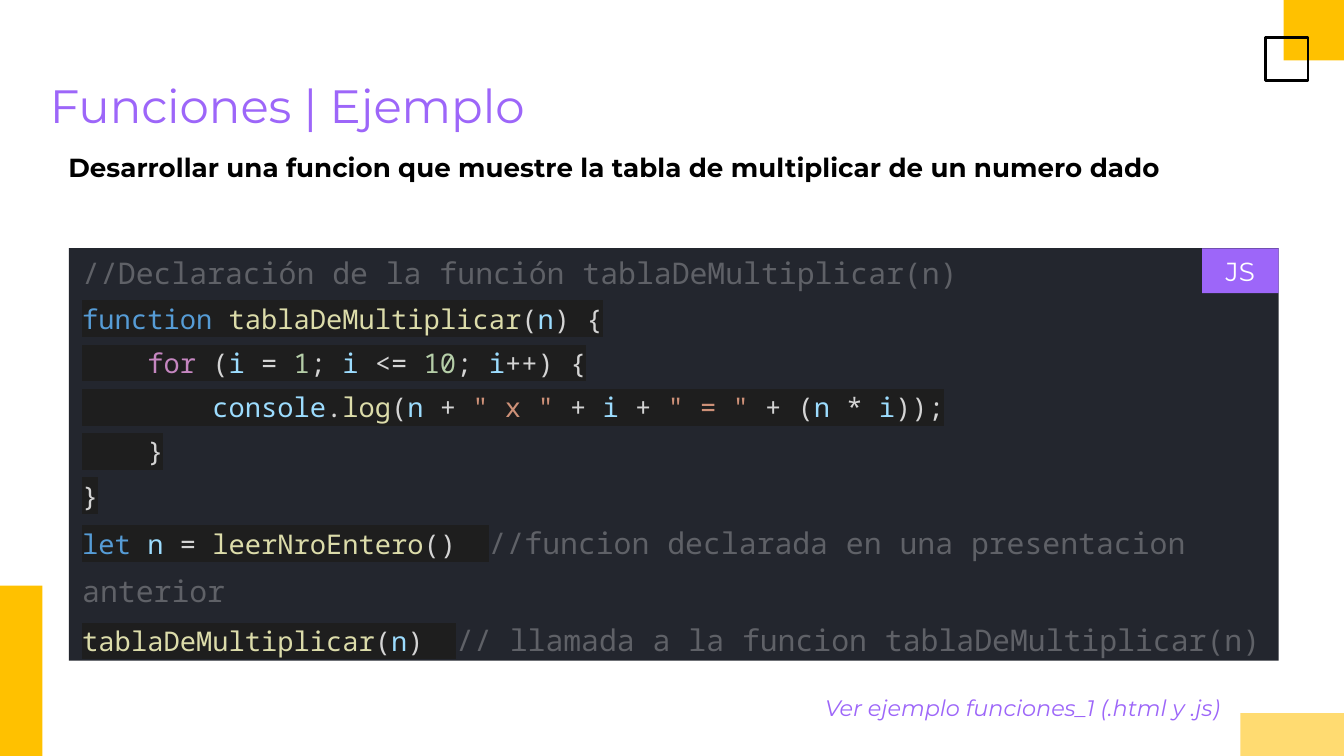
import pptx
import pptx.util
import pptx.dml.color
import pptx.enum.shapes
import pptx.enum.text
import lxml.etree
from pptx.oxml.ns import qn

Pt = pptx.util.Pt
ANCHOR = pptx.enum.text.MSO_ANCHOR
ALIGN = pptx.enum.text.PP_ALIGN

WIDTH, HEIGHT = 720, 405
SANS, MONO = "Montserrat", "Noto Sans Mono"
PURPLE, AMBER, BLACK, WHITE = "9D66F9", "FFC100", "000000", "FFFFFF"
CODE_FILL, HIGHLIGHT = "23262E", "1E1E1E"

# left, top, width, height, fill, outline
DECORATION = [
    (687.6, 0, 32.4, 32.4, AMBER, None),
    (0, 313.8, 22.8, 91.2, AMBER, None),
    (677.8, 20, 23, 23, None, BLACK),
    (664.5, 382, 55.5, 23, "FFDB71", None),
]

TITLE = "Funciones | Ejemplo"
TASK = "Desarrollar una funcion que muestre la tabla de multiplicar de un numero dado"
FOOTNOTE = "Ver ejemplo funciones_1 (.html y .js)"

TOKEN_COLORS = {
    "comment": "5F6167",
    "keyword": "569CD6",
    "control": "C586C0",
    "function": "DCDCAA",
    "variable": "9CDCFE",
    "number": "B5CEA8",
    "string": "CE9178",
    "plain": "D4D4D4",
}
CODE = [
    [("comment", "//Declaración de la función tablaDeMultiplicar(n)")],
    [("keyword", "function"), ("plain", " "), ("function", "tablaDeMultiplicar"),
     ("plain", "("), ("variable", "n"), ("plain", ") {")],
    [("plain", "    "), ("control", "for"), ("plain", " ("), ("variable", "i"),
     ("plain", " = "), ("number", "1"), ("plain", "; "), ("variable", "i"),
     ("plain", " <= "), ("number", "10"), ("plain", "; "), ("variable", "i"),
     ("plain", "++) {")],
    [("plain", "        "), ("variable", "console"), ("plain", "."),
     ("function", "log"), ("plain", "("), ("variable", "n"), ("plain", " + "),
     ("string", '" x "'), ("plain", " + "), ("variable", "i"), ("plain", " + "),
     ("string", '" = "'), ("plain", " + ("), ("variable", "n"), ("plain", " * "),
     ("variable", "i"), ("plain", "));")],
    [("plain", "    }")],
    [("plain", "}")],
    [("keyword", "let"), ("plain", " "), ("variable", "n"), ("plain", " = "),
     ("function", "leerNroEntero"), ("plain", "()  "),
     ("comment", "//funcion declarada en una presentacion anterior")],
    [("function", "tablaDeMultiplicar"), ("plain", "("), ("variable", "n"),
     ("plain", ")  "), ("comment", "// llamada a la funcion tablaDeMultiplicar(n)")],
]


def rgb(value):
    return pptx.dml.color.RGBColor.from_string(value)


def add_rectangle(slide, left, top, width, height, fill, outline=None):
    box = slide.shapes.add_shape(pptx.enum.shapes.MSO_SHAPE.RECTANGLE,
                                 Pt(left), Pt(top), Pt(width), Pt(height))
    box.shadow.inherit = False
    if fill:
        box.fill.solid()
        box.fill.fore_color.rgb = rgb(fill)
    else:
        box.fill.background()
    if outline:
        box.line.color.rgb = rgb(outline)
        box.line.width = Pt(1.5)
    else:
        box.line.fill.background()
    return box


def set_frame(box, vertical, anchor=ANCHOR.TOP):
    """Wrap the text and set its anchor and insets; return the frame."""
    frame = box.text_frame
    frame.word_wrap = True
    frame.auto_size = pptx.enum.text.MSO_AUTO_SIZE.NONE
    frame.vertical_anchor = anchor
    frame.margin_left = frame.margin_right = Pt(7.2)
    frame.margin_top = frame.margin_bottom = Pt(vertical)
    return frame


def write_line(box, text, size, color, bold=False, italic=False,
               align=ALIGN.LEFT, anchor=ANCHOR.TOP, after=0):
    para = set_frame(box, 7.2, anchor).paragraphs[0]
    para.text = text
    para.alignment = align
    para.space_after = Pt(after)
    font = para.font
    font.name, font.size = SANS, Pt(size)
    font.bold, font.italic = bold, italic
    font.color.rgb = rgb(color)


def highlight(span, color):
    """Put a background colour behind a run that already has a text colour."""
    fill = span.font._element.find(qn("a:solidFill"))
    mark = lxml.etree.Element(qn("a:highlight"))
    lxml.etree.SubElement(mark, qn("a:srgbClr"), val=color)
    fill.addnext(mark)


def write_code(box, lines):
    frame = set_frame(box, 3.6)
    for number, tokens in enumerate(lines):
        para = frame.add_paragraph() if number else frame.paragraphs[0]
        para.alignment = ALIGN.LEFT
        para.line_spacing = 1.36 if number else 1.0
        for kind, text in tokens:
            span = para.add_run()
            span.text = text
            span.font.name = MONO
            span.font.size = Pt(16 if kind == "comment" else 14.5)
            span.font.color.rgb = rgb(TOKEN_COLORS[kind])
            if kind != "comment":
                highlight(span, HIGHLIGHT)


def main():
    deck = pptx.Presentation()
    deck.slide_width, deck.slide_height = Pt(WIDTH), Pt(HEIGHT)
    slide = deck.slides.add_slide(deck.slide_layouts[5])

    for part in DECORATION:
        add_rectangle(slide, *part)

    title = slide.shapes.title
    title.left, title.top, title.width, title.height = Pt(19.5), Pt(34), Pt(682), Pt(45.5)
    write_line(title, TITLE, 25, PURPLE)

    task = slide.shapes.add_textbox(Pt(29.5), Pt(74), Pt(655), Pt(25))
    write_line(task, TASK, 14, BLACK, bold=True, after=6)

    write_code(add_rectangle(slide, 37, 133, 648, 221, CODE_FILL), CODE)

    label = add_rectangle(slide, 644, 133, 41, 24, PURPLE)
    write_line(label, "JS", 14, WHITE, align=ALIGN.CENTER, anchor=ANCHOR.MIDDLE)

    footnote = slide.shapes.add_textbox(Pt(435), Pt(364.5), Pt(260.5), Pt(32.5))
    write_line(footnote, FOOTNOTE, 12, PURPLE, italic=True, after=6)

    deck.save("out.pptx")


if __name__ == "__main__":
    main()
